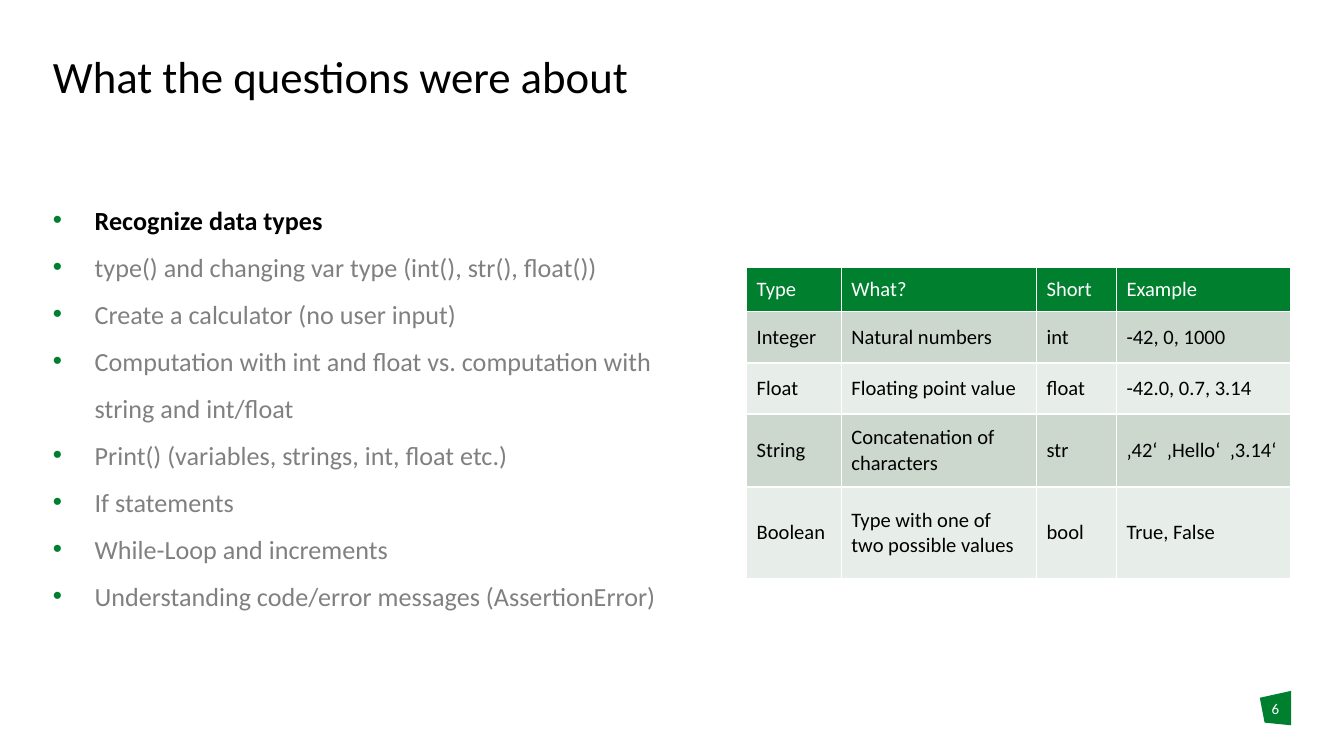
from pptx import Presentation
from pptx.dml.color import RGBColor
from pptx.enum.text import MSO_ANCHOR, PP_ALIGN
from pptx.oxml import parse_xml
from pptx.oxml.ns import nsdecls
from pptx.util import Cm, Pt

GREEN, WHITE, BLACK, GRAY = "00802F", "FFFFFF", "000000", "808080"
BANDS = ("CCD8CD", "E7EDE8")

TOPICS = [
    "Recognize data types",
    "type() and changing var type (int(), str(), float())",
    "Create a calculator (no user input)",
    "Computation with int and float vs. computation with string and int/float",
    "Print() (variables, strings, int, float etc.)",
    "If statements",
    "While-Loop and increments",
    "Understanding code/error messages (AssertionError)",
]
DATA_TYPES = [
    ("Type", "What?", "Short", "Example"),
    ("Integer", "Natural numbers", "int", "-42, 0, 1000"),
    ("Float", "Floating point value", "float", "-42.0, 0.7, 3.14"),
    ("String", "Concatenation of characters", "str", "‚42‘  ‚Hello‘  ‚3.14‘"),
    ("Boolean", "Type with one of two possible values", "bool", "True, False"),
]
COLUMN_WIDTHS = (1.79, 3.69, 1.51, 3.29)
ROW_HEIGHTS = (0.83, 0.97, 0.97, 1.37, 1.74)


def color(value):
    return RGBColor.from_string(value)


def write(para, text, size=14, fill=BLACK, bold=False, spacing=None,
          align=PP_ALIGN.LEFT):
    para.alignment = align
    if spacing:
        para.line_spacing = spacing
    span = para.add_run()
    span.text = text
    span.font.name = "Calibri"
    span.font.size = Pt(size)
    span.font.bold = bold
    span.font.color.rgb = color(fill)


class SlideBuilder:
    def __init__(self, deck):
        self.page = deck.slides.add_slide(deck.slide_layouts[5])

    def place(self, box, left, top, width, height):
        box.left, box.top = Cm(left), Cm(top)
        box.width, box.height = Cm(width), Cm(height)

    def prepare(self, box):
        frame = box.text_frame
        frame.word_wrap = True
        frame.vertical_anchor = MSO_ANCHOR.TOP
        frame.margin_left = frame.margin_right = 0
        frame.margin_top = frame.margin_bottom = 0
        return frame

    def title(self, text, *area):
        box = self.page.shapes.title
        self.place(box, *area)
        write(self.prepare(box).paragraphs[0], text, size=24, spacing=0.9)

    def text(self, text, *area, **style):
        box = self.page.shapes.add_textbox(*map(Cm, area))
        write(self.prepare(box).paragraphs[0], text, **style)

    def bullets(self, items, *area):
        box = self.page.shapes.add_textbox(*map(Cm, area))
        frame = self.prepare(box)
        for index, item in enumerate(items):
            para = frame.add_paragraph() if index else frame.paragraphs[0]
            current = index == 0
            write(para, item, fill=BLACK if current else GRAY, bold=current,
                  spacing=1.5)
            self.add_bullet(para)

    def add_bullet(self, para, indent=0.79):
        props = para._p.get_or_add_pPr()
        props.set("marL", str(Cm(indent)))
        props.set("indent", str(-Cm(indent)))
        for xml in (f'<a:buClr {nsdecls("a")}><a:srgbClr val="{GREEN}"/></a:buClr>',
                    f'<a:buFont {nsdecls("a")} typeface="Arial"/>',
                    f'<a:buChar {nsdecls("a")} char="•"/>'):
            props.append(parse_xml(xml))

    def table(self, rows, left, top):
        area = (left, top, sum(COLUMN_WIDTHS), sum(ROW_HEIGHTS))
        table = self.page.shapes.add_table(
            len(rows), len(rows[0]), *map(Cm, area)).table
        for column, width in zip(table.columns, COLUMN_WIDTHS):
            column.width = Cm(width)
        for row, height in zip(table.rows, ROW_HEIGHTS):
            row.height = Cm(height)
        for r, texts in enumerate(rows):
            for c, text in enumerate(texts):
                self.cell(table.cell(r, c), text, header=r == 0,
                          fill=BANDS[(r - 1) % 2] if r else GREEN)

    def cell(self, cell, text, header, fill):
        cell.vertical_anchor = MSO_ANCHOR.MIDDLE
        cell.margin_left = cell.margin_right = Cm(0.19)
        cell.margin_top = cell.margin_bottom = Cm(0.1)
        cell.fill.solid()
        cell.fill.fore_color.rgb = color(fill)
        write(cell.text_frame.paragraphs[0], text, size=11,
              fill=WHITE if header else BLACK)
        props = cell._tc.get_or_add_tcPr()
        for position, side in enumerate(("lnL", "lnR", "lnT", "lnB")):
            props.insert(position, parse_xml(
                f'<a:{side} {nsdecls("a")} w="{Pt(1)}"><a:solidFill>'
                f'<a:srgbClr val="{WHITE}"/></a:solidFill></a:{side}>'))

    def polygon(self, points, fill):
        start, *others = [(Cm(x), Cm(y)) for x, y in points]
        builder = self.page.shapes.build_freeform(*start)
        builder.add_line_segments(others, close=True)
        shape = builder.convert_to_shape()
        shape.shadow.inherit = False
        shape.fill.solid()
        shape.fill.fore_color.rgb = color(fill)
        shape.line.fill.background()


def main():
    deck = Presentation()
    deck.slide_width, deck.slide_height = Cm(25.4), Cm(14.29)
    slide = SlideBuilder(deck)

    # Page number on its green badge
    slide.polygon([(23.81, 13.19), (24.4, 13.06), (24.4, 13.71), (23.9, 13.66)],
                  GREEN)
    slide.text("6", 23.8, 13.23, 0.61, 0.76, size=8, fill=WHITE,
               align=PP_ALIGN.CENTER)

    # Title
    slide.title("What the questions were about", 1, 1.04, 23.41, 1.7)

    # Data type overview and list of topics
    slide.table(DATA_TYPES, 14.11, 5.06)
    slide.bullets(TOPICS, 1, 3.56, 11.46, 8.89)

    deck.save("out.pptx")


if __name__ == "__main__":
    main()
